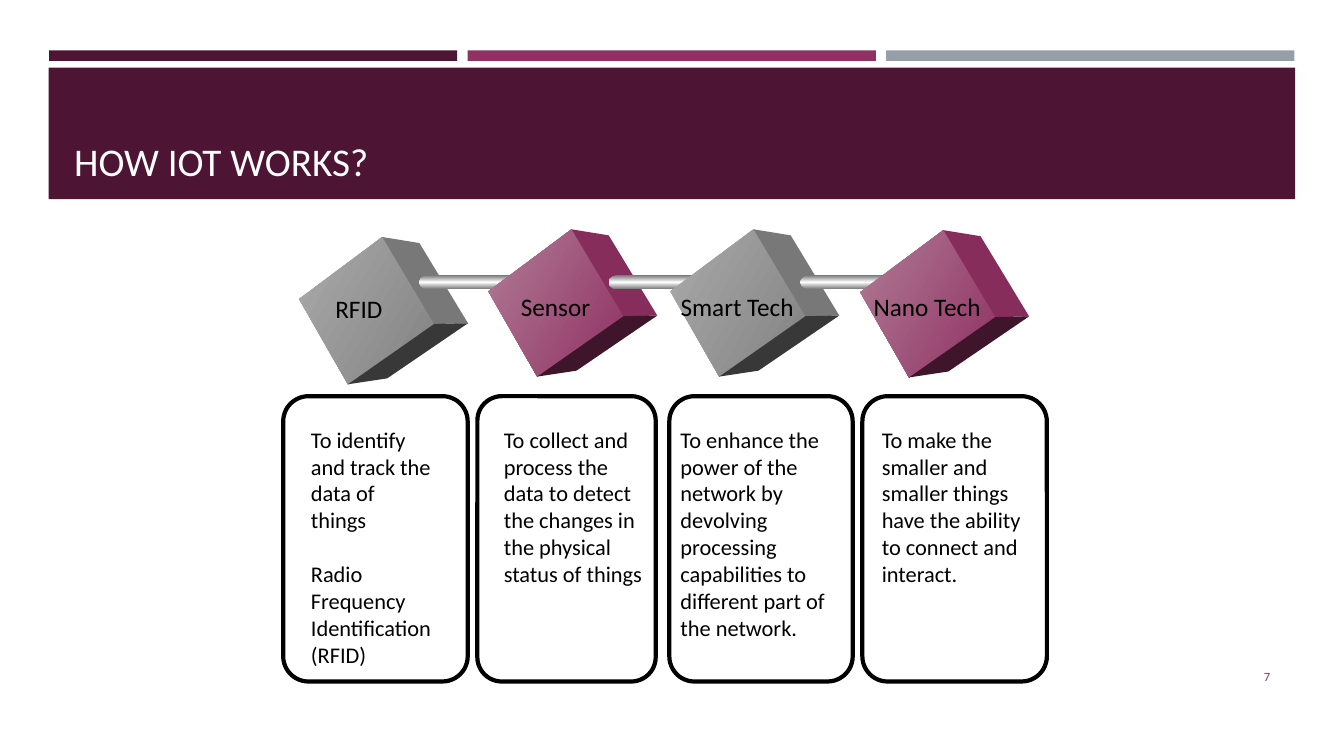
import copy

import pptx
import pptx.dml.color
import pptx.enum.shapes
import pptx.enum.text
import pptx.util

Pt = pptx.util.Pt
RGBColor = pptx.dml.color.RGBColor
Shape = pptx.enum.shapes.MSO_SHAPE
Align = pptx.enum.text.PP_ALIGN
Anchor = pptx.enum.text.MSO_ANCHOR

FONT = "Calibri"
BLACK = RGBColor(0x00, 0x00, 0x00)
WHITE = RGBColor(0xFF, 0xFF, 0xFF)
PLUM = RGBColor(0x4D, 0x14, 0x34)
MAGENTA = RGBColor(0x90, 0x31, 0x63)
SLATE = RGBColor(0x96, 0x9F, 0xA7)
ROD_GRAY = RGBColor(0x76, 0x76, 0x76)
MAGENTA_FACES = (
    (RGBColor(0xB0, 0x7C, 0x96), MAGENTA),
    (RGBColor(0x87, 0x2D, 0x5C),),
    (RGBColor(0x3F, 0x15, 0x2B),),
)
GRAY_FACES = (
    (RGBColor(0xAA, 0xAA, 0xAA), RGBColor(0x82, 0x82, 0x82)),
    (RGBColor(0x78, 0x78, 0x78),),
    (RGBColor(0x38, 0x38, 0x38),),
)

LEFT, TOP, TOP_RIGHT = (0, 44.3), (59.5, 0), (86, 4.3)
RIGHT, BOTTOM_RIGHT, BOTTOM = (120.7, 61.6), (63, 101), (35, 105.2)
INNER = (96.6, 62.1)
CUBE_OUTLINES = (
    (LEFT, TOP, INNER, BOTTOM),
    (TOP, TOP_RIGHT, RIGHT, INNER),
    (INNER, RIGHT, BOTTOM_RIGHT, BOTTOM),
)

STAGES = (
    dict(label="RFID", cube=(213.6, 169.3), label_at=(232.4, 205.9),
         panel=(202.3, 131.8), body=(215, 102.2), faces=GRAY_FACES,
         rod=(299.5, 12.2, 60.5),
         text=("To identify and track the data of things",
               "Radio Frequency Identification (RFID)")),
    dict(label="Sensor", cube=(348.8, 163.8), label_at=(365, 204.5),
         panel=(341, 127.4), body=(352.8, 113.8), faces=MAGENTA_FACES,
         rod=(434.9, 12.2, 60.5),
         text=("To collect and process the data to detect the changes in "
               "the physical status of things",)),
    dict(label="Smart Tech", cube=(478.8, 163.8), label_at=(479, 204.5),
         panel=(478.1, 131), body=(479, 131.8), faces=GRAY_FACES,
         rod=(571.7, 16.6, 79.9),
         text=("To enhance the power of the network by devolving processing "
               "capabilities to different part of the network.",)),
    dict(label="Nano Tech", cube=(614.4, 164.4), label_at=(617, 204.5),
         panel=(616, 131.8), body=(622.8, 120.2), faces=MAGENTA_FACES,
         rod=None,
         text=("To make the smaller and smaller things have the ability to "
               "connect and interact.",)),
)


def write(frame, *texts, size, color=BLACK, align=Align.LEFT,
          anchor=Anchor.TOP, gap=0):
    frame.word_wrap = True
    frame.vertical_anchor = anchor
    for index, text in enumerate(texts):
        paragraph = frame.add_paragraph() if index else frame.paragraphs[0]
        paragraph.text = text
        paragraph.alignment = align
        paragraph.space_before = Pt(gap if index else 0)
        paragraph.font.name = FONT
        paragraph.font.size = Pt(size)
        paragraph.font.color.rgb = color


class SlideBuilder:
    def __init__(self, presentation):
        self.slide = presentation.slides.add_slide(presentation.slide_layouts[5])
        self.shapes = self.slide.shapes

    def paint(self, shape, colors, angle):
        shape.shadow.inherit = False
        shape.line.fill.background()
        if len(colors) == 1:
            shape.fill.solid()
            shape.fill.fore_color.rgb = colors[0]
            return
        shape.fill.gradient()
        shape.fill.gradient_angle = angle
        stop_list = shape._element.spPr.find(
            ".//" + pptx.oxml.ns.qn("a:gsLst"))
        for _ in colors[2:]:
            stop_list.append(copy.deepcopy(stop_list[0]))
        for index, (stop, color) in enumerate(
                zip(shape.fill.gradient_stops, colors)):
            stop.position = index / (len(colors) - 1)
            stop.color.rgb = color

    def block(self, kind, left, top, width, height, *colors, angle=270):
        shape = self.shapes.add_shape(
            kind, Pt(left), Pt(top), Pt(width), Pt(height))
        self.paint(shape, colors, angle)
        return shape

    def panel(self, left, width):
        shape = self.block(
            Shape.ROUNDED_RECTANGLE, left, 283, width, 203.8, WHITE)
        shape.adjustments[0] = 0.137
        shape.fill.background()
        shape.line.color.rgb = BLACK
        shape.line.width = Pt(3)

    def rod(self, left, cap_width, bar_width):
        bar_left = left + cap_width * 0.58
        for kind, part_left, width in (
                (Shape.OVAL, left, cap_width),
                (Shape.RECTANGLE, bar_left, bar_width)):
            self.block(kind, part_left, 196.6, width, 10,
                       ROD_GRAY, WHITE, ROD_GRAY)

    def cube(self, left, top, faces):
        for outline, colors in zip(CUBE_OUTLINES, faces):
            points = [(Pt(left + x), Pt(top + y)) for x, y in outline]
            builder = self.shapes.build_freeform(*points[0])
            builder.add_line_segments(points[1:], close=True)
            self.paint(builder.convert_to_shape(), colors, 330)

    def text(self, left, top, width, height, *texts, **style):
        box = self.shapes.add_textbox(Pt(left), Pt(top), Pt(width), Pt(height))
        write(box.text_frame, *texts, **style)

    def title(self, text):
        title = self.shapes.title
        title.left, title.top = Pt(45.8), Pt(55.4)
        title.width, title.height = Pt(868.6), Pt(79.9)
        write(title.text_frame, text, size=28, color=WHITE,
              anchor=Anchor.BOTTOM)
        self.shapes._spTree.append(title._element)


def main():
    presentation = pptx.Presentation()
    presentation.slide_width, presentation.slide_height = Pt(960), Pt(540)
    builder = SlideBuilder(presentation)

    for index, color in enumerate((PLUM, MAGENTA, SLATE)):
        builder.block(Shape.RECTANGLE, 35 + index * 299, 36, 291.6, 7.5, color)
    builder.block(Shape.RECTANGLE, 34.8, 48.4, 890.4, 93.8, PLUM)
    builder.title("HOW IOT WORKS?")

    for stage in STAGES:
        builder.panel(*stage["panel"])
        builder.cube(*stage["cube"], stage["faces"])
        if stage["rod"]:
            builder.rod(*stage["rod"])
    for stage in STAGES:
        body_left, body_width = stage["body"]
        builder.text(*stage["label_at"], 110, 29, stage["label"], size=18)
        builder.text(body_left, 300.6, body_width, 163, *stage["text"],
                     size=16, gap=19.5)
    builder.text(831.6, 468.7, 82.8, 28.8, "7", size=9, color=MAGENTA,
                 align=Align.RIGHT, anchor=Anchor.MIDDLE)
    presentation.save("out.pptx")


if __name__ == "__main__":
    main()
